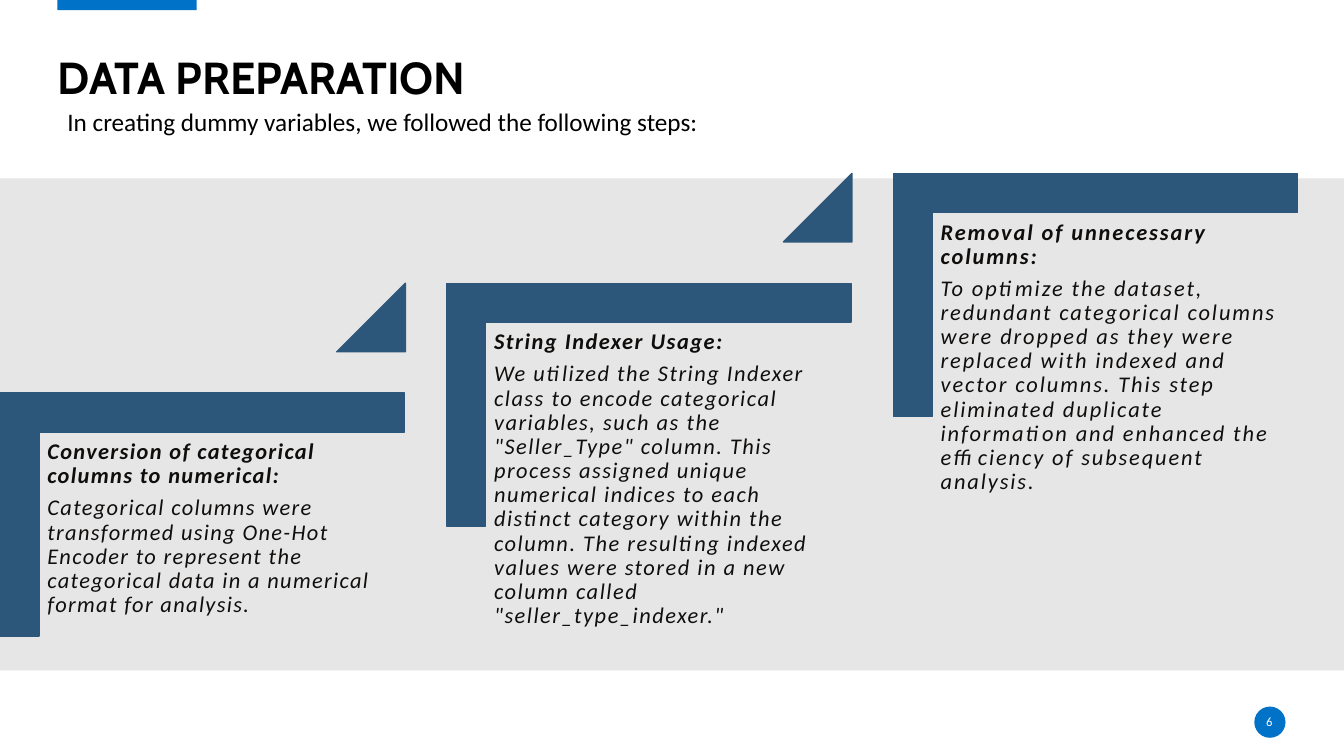
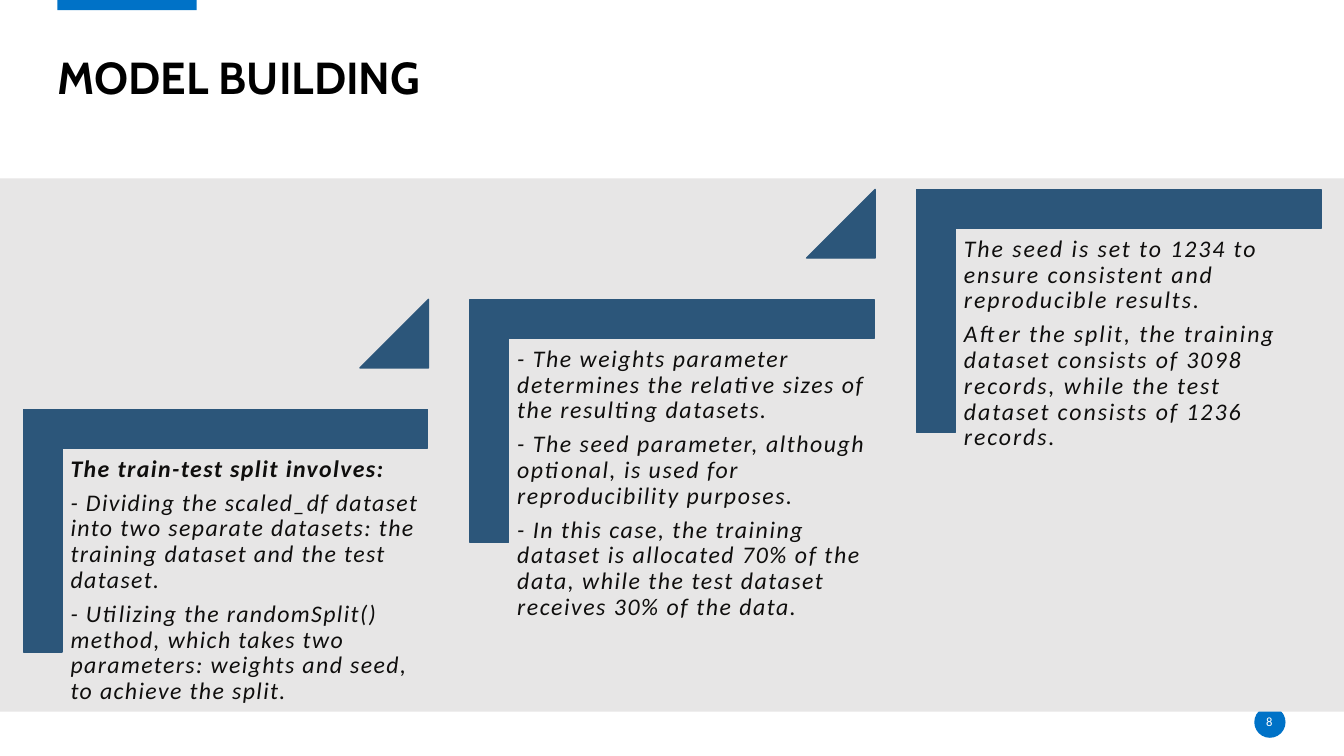
from pptx import Presentation
from pptx.dml.color import RGBColor as Rgb
from pptx.enum.shapes import MSO_SHAPE as Kind
from pptx.enum.text import MSO_ANCHOR as Anchor, MSO_AUTO_SIZE as Fit, PP_ALIGN as Align
from pptx.util import Inches, Pt

WIDE, HIGH = 13.33, 7.5
BLUE, NAVY, GREY = "0072C7", "2C567A", "E7E6E6"
BLACK, INK, WHITE = "000000", "0F0E0D", "FFFFFF"
BODY, HEAD = "Calibri", "Cabin"
EDGE, SPAN = 0.57, 12.19
STEP_W, STEP_H, THICK = 4.01, 2.41, 0.16
RUN, RISE, TIP = 4.43, 1.09, 0.68
TRACK = (1, 1.1, 1.4)


def paint(part, color):
    """Fill a fill or line format with a hex colour."""
    part.solid()
    part.fore_color.rgb = Rgb.from_string(color)


def draw(slide, kind, box, color, line=False):
    """Add a flat preset shape in the given box."""
    shape = slide.shapes.add_shape(kind, *map(Inches, box))
    shape.shadow.inherit = False
    paint(shape.fill, color)
    if line:
        paint(shape.line.fill, color)
        shape.line.width = Pt(1)
    else:
        shape.line.fill.background()
    return shape


def style(para, name, size, color, bold=False, slant=False):
    """Set the font of a whole paragraph."""
    font = para.font
    font.name, font.size = name, Pt(size)
    font.bold, font.italic = bold, slant
    font.color.rgb = Rgb.from_string(color)


def frame(shape, pad, anchor=Anchor.TOP):
    """Give a text frame wrapping, equal margins and an anchor."""
    text = shape.text_frame
    text.word_wrap, text.auto_size = True, Fit.NONE
    text.vertical_anchor = anchor
    text.margin_left = text.margin_right = Inches(pad)
    text.margin_top = text.margin_bottom = Inches(pad)
    return text


def label(slide, box, pad=0, anchor=Anchor.TOP):
    """Add a text box and return its frame."""
    return frame(slide.shapes.add_textbox(*map(Inches, box)), pad, anchor)


def base(deck, title, page, depth):
    """Add a slide with title, accents, grey band and page number."""
    slide = deck.slides.add_slide(deck.slide_layouts[5])
    head = slide.shapes.title
    head.left, head.top, head.width, head.height = map(Inches, (EDGE, 0.02, SPAN, 1.01))
    text = frame(head, 0, Anchor.BOTTOM)
    text.text = title
    para = text.paragraphs[0]
    para.alignment, para.line_spacing = Align.LEFT, 0.9
    style(para, HEAD, 32, BLACK, True)
    draw(slide, Kind.RECTANGLE, (EDGE, 0, 1.38, 0.1), BLUE)
    draw(slide, Kind.OVAL, (12.44, 7.01, 0.31, 0.31), BLUE)
    draw(slide, Kind.RECTANGLE, (0, 1.77, WIDE, depth), GREY)
    para = label(slide, (12.43, 7.06, 0.32, 0.2), 0, Anchor.MIDDLE).paragraphs[0]
    para.text, para.alignment = page, Align.CENTER
    style(para, BODY, 9, WHITE)
    return slide


def step(slide, left, top, lines, size, track, bold, last):
    """Draw one stair step: bracket, text and a tip up to the next step."""
    shift = (STEP_W - STEP_H) / 2
    box = left + shift, top - shift, STEP_H, STEP_W
    bar = draw(slide, Kind.CORNER, box, NAVY, True)
    bar.rotation = 90
    bar.adjustments[0] = bar.adjustments[1] = THICK
    text = label(slide, (left + 0.4, top + 0.4, 3.62, 3.17), 0.07)
    for i, line in enumerate(lines):
        para = text.add_paragraph() if i else text.paragraphs[0]
        para.text = line
        para.line_spacing, para.space_after = 0.9, Pt(0.35 * size)
        style(para, BODY, size, INK, bold and i == 0, True)
        para._p.get_or_add_pPr().get_or_add_defRPr().set("spc", str(round(track * 100)))
    if not last:
        box = left + STEP_W - TIP + 0.01, top - RISE, TIP, TIP
        tip = draw(slide, Kind.ISOSCELES_TRIANGLE, box, NAVY, True)
        tip.adjustments[0] = 1


def stairs(slide, left, top, steps, size, heads):
    """Place rising steps from the lower left corner given."""
    for i, lines in enumerate(steps):
        step(slide, left + i * RUN, top - i * RISE, lines, size,
             TRACK[i], i in heads, i == len(steps) - 1)


def prep(deck):
    """Build the data preparation slide."""
    slide = base(deck, "DATA PREPARATION", "6", 4.88)
    para = label(slide, (EDGE, 1, SPAN, 0.4), 0.1, Anchor.MIDDLE).paragraphs[0]
    para.text = "In creating dummy variables, we followed the following steps:"
    style(para, BODY, 18, BLACK)
    stairs(slide, 0, 3.9, [
        ["Conversion of categorical columns to numerical:",
         "Categorical columns were transformed using One-Hot Encoder to represent "
         "the categorical data in a numerical format for analysis."],
        ["String Indexer Usage:",
         "We utilized the String Indexer class to encode categorical variables, such as "
         'the "Seller_Type" column. This process assigned unique numerical indices to '
         "each distinct category within the column. The resulting indexed values were "
         'stored in a new column called "seller_type_indexer."'],
        ["Removal of unnecessary columns:",
         "To optimize the dataset, redundant categorical columns were dropped as they "
         "were replaced with indexed and vector columns. This step eliminated duplicate "
         "information and enhanced the efficiency of subsequent analysis."],
    ], 16, (0, 1, 2))


def model(deck):
    """Build the model building slide."""
    slide = base(deck, "MODEL BUILDING", "8", 5.29)
    stairs(slide, 0.23, 4.06, [
        ["The train-test split involves:",
         "- Dividing the scaled_df dataset into two separate datasets: the training "
         "dataset and the test dataset.",
         "- Utilizing the randomSplit() method, which takes two parameters: weights and "
         "seed, to achieve the split."],
        ["- The weights parameter determines the relative sizes of the resulting datasets.",
         "- The seed parameter, although optional, is used for reproducibility purposes.",
         "- In this case, the training dataset is allocated 70% of the data, while the "
         "test dataset receives 30% of the data."],
        ["The seed is set to 1234 to ensure consistent and reproducible results.",
         "After the split, the training dataset consists of 3098 records, while the test "
         "dataset consists of 1236 records."],
    ], 17, (0,))


def main():
    """Build and save the deck."""
    deck = Presentation()
    deck.slide_width, deck.slide_height = Inches(WIDE), Inches(HIGH)
    prep(deck)
    model(deck)
    deck.save("out.pptx")


if __name__ == "__main__":
    main()
